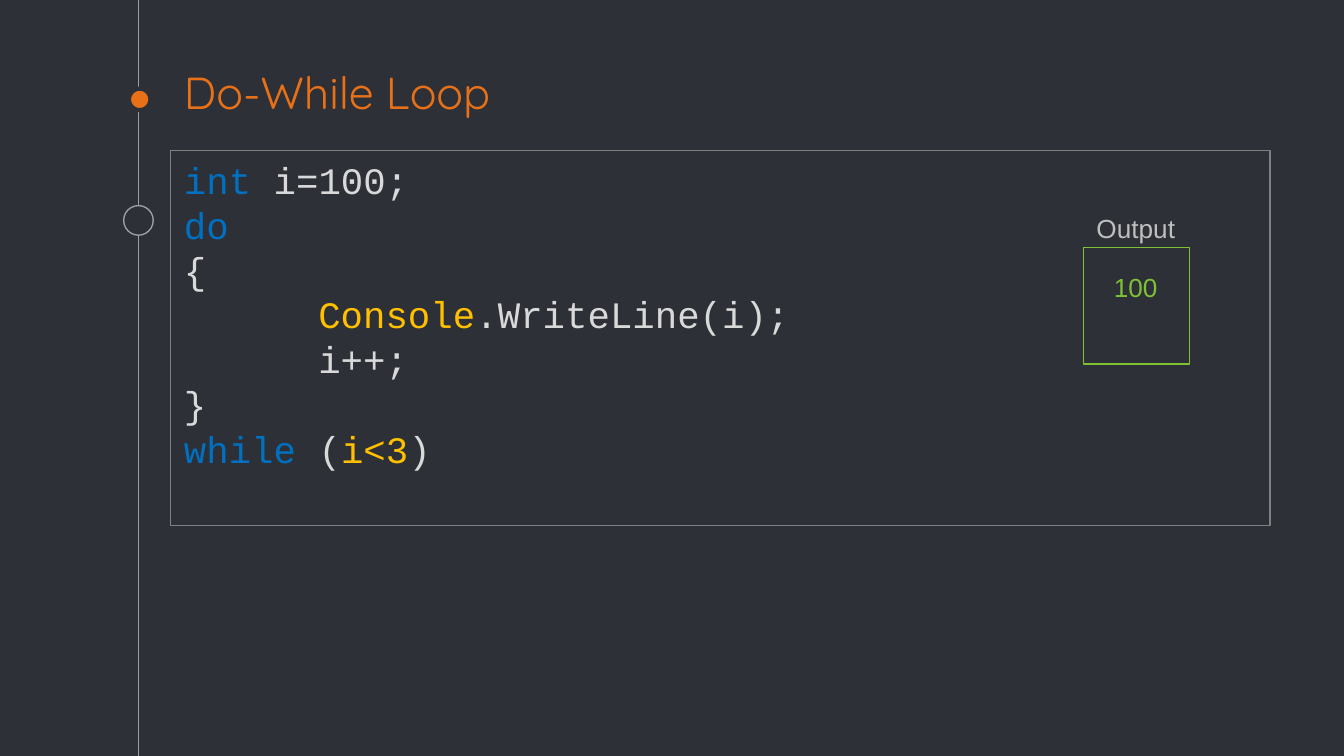
from dataclasses import dataclass

import pptx
import pptx.dml.color
import pptx.enum.shapes
import pptx.enum.text
import pptx.oxml
import pptx.oxml.ns
import pptx.util

Inches = pptx.util.Inches
Pt = pptx.util.Pt
OVAL = pptx.enum.shapes.MSO_SHAPE.OVAL
RECTANGLE = pptx.enum.shapes.MSO_SHAPE.RECTANGLE
ANCHOR = pptx.enum.text.MSO_ANCHOR

SLIDE_WIDTH = Inches(10)
SLIDE_HEIGHT = SLIDE_WIDTH * 9 // 16

BACKGROUND = "2E3037"
ORANGE = "E87118"
RAIL_GREY = "999FA9"
GREEN = "7EC234"
BLUE = "0070C0"
LIGHT = "D9D9D9"
YELLOW = "FFC000"

CODE = [
    [("int ", BLUE), ("i=100;", LIGHT)],
    [("do", BLUE)],
    [("{", LIGHT)],
    [("\t", LIGHT), ("Console", YELLOW), (".WriteLine(i);", LIGHT)],
    [("\ti++;", LIGHT)],
    [("}", LIGHT)],
    [("while", BLUE), (" (", LIGHT), ("i<3", YELLOW), (")", LIGHT)],
]


@dataclass
class Outline:
    kind: int
    left: float
    top: float
    width: float
    height: float
    line: str
    weight: float = 0.75
    fill: str | None = None


@dataclass
class Label:
    text: str
    left: float
    top: float
    width: float
    height: float
    font: str
    size: float
    color: str
    wrap: bool = False


def rgb(value: str) -> pptx.dml.color.RGBColor:
    return pptx.dml.color.RGBColor.from_string(value)


def draw_outline(slide, outline: Outline):
    shape = slide.shapes.add_shape(
        outline.kind, Inches(outline.left), Inches(outline.top),
        Inches(outline.width), Inches(outline.height))
    shape.shadow.inherit = False
    if outline.fill:
        shape.fill.solid()
        shape.fill.fore_color.rgb = rgb(outline.fill)
    else:
        shape.fill.background()
    shape.line.color.rgb = rgb(outline.line)
    shape.line.width = Pt(outline.weight)
    return shape


def add_run(paragraph, text: str, font: str, size: float, color: str) -> None:
    run = paragraph.add_run()
    run.text = text
    run.font.name = font
    run.font.size = Pt(size)
    run.font.color.rgb = rgb(color)


def draw_label(slide, label: Label):
    frame = slide.shapes.add_textbox(
        Inches(label.left), Inches(label.top),
        Inches(label.width), Inches(label.height)).text_frame
    frame.word_wrap = label.wrap
    add_run(frame.paragraphs[0], label.text, label.font, label.size, label.color)
    return frame


def draw_rail(slide, x: float) -> None:
    rail = slide.shapes.add_connector(
        pptx.enum.shapes.MSO_CONNECTOR.STRAIGHT,
        Inches(x), Inches(0), Inches(x), SLIDE_HEIGHT)
    rail.line.color.rgb = rgb(RAIL_GREY)
    rail.line.width = Pt(0.75)
    effects = pptx.oxml.parse_xml(
        f'<a:effectLst {pptx.oxml.ns.nsdecls("a")}/>')
    rail.element.spPr.append(effects)


def add_tab_stop(paragraph, position: float) -> None:
    tabs = pptx.oxml.parse_xml(
        f'<a:tabLst {pptx.oxml.ns.nsdecls("a")}>'
        f'<a:tab pos="{Inches(position)}" algn="l"/></a:tabLst>')
    paragraph._p.get_or_add_pPr().append(tabs)


def write_code(frame, lines: list[list[tuple[str, str]]]) -> None:
    frame.word_wrap = True
    frame.vertical_anchor = ANCHOR.TOP
    for number, pieces in enumerate(lines):
        paragraph = frame.add_paragraph() if number else frame.paragraphs[0]
        paragraph.alignment = pptx.enum.text.PP_ALIGN.LEFT
        paragraph.line_spacing = Pt(24)
        add_tab_stop(paragraph, 1)
        for text, color in pieces:
            add_run(paragraph, text, "Courier New", 20, color)


def main() -> None:
    deck = pptx.Presentation()
    deck.slide_width = SLIDE_WIDTH
    deck.slide_height = SLIDE_HEIGHT
    slide = deck.slides.add_slide(deck.slide_layouts[6])
    slide.background.fill.solid()
    slide.background.fill.fore_color.rgb = rgb(BACKGROUND)

    draw_rail(slide, 1.03)
    draw_outline(slide, Outline(OVAL, 0.96, 0.66, 0.16, 0.16, BACKGROUND, 2.25, ORANGE))
    draw_outline(slide, Outline(OVAL, 0.92, 1.53, 0.22, 0.22, RAIL_GREY, fill=BACKGROUND))

    title = draw_label(slide, Label(
        "Do-While Loop", 1.27, 0.6, 8.65, 0.38, "Quicksand", 24, ORANGE, True))
    title.vertical_anchor = ANCHOR.BOTTOM
    title.margin_top = title.margin_bottom = Inches(0.1)

    code_panel = draw_outline(slide, Outline(RECTANGLE, 1.27, 1.12, 8.18, 2.79, "808080"))
    write_code(code_panel.text_frame, CODE)

    draw_outline(slide, Outline(RECTANGLE, 8.06, 1.84, 0.79, 0.87, GREEN))
    draw_label(slide, Label("100", 8.19, 1.97, 0.53, 0.34, "Arial", 14, GREEN))
    draw_label(slide, Label("Output", 8.06, 1.53, 0.79, 0.34, "Arial", 14, "BFBFBF"))

    deck.save("out.pptx")


if __name__ == "__main__":
    main()
